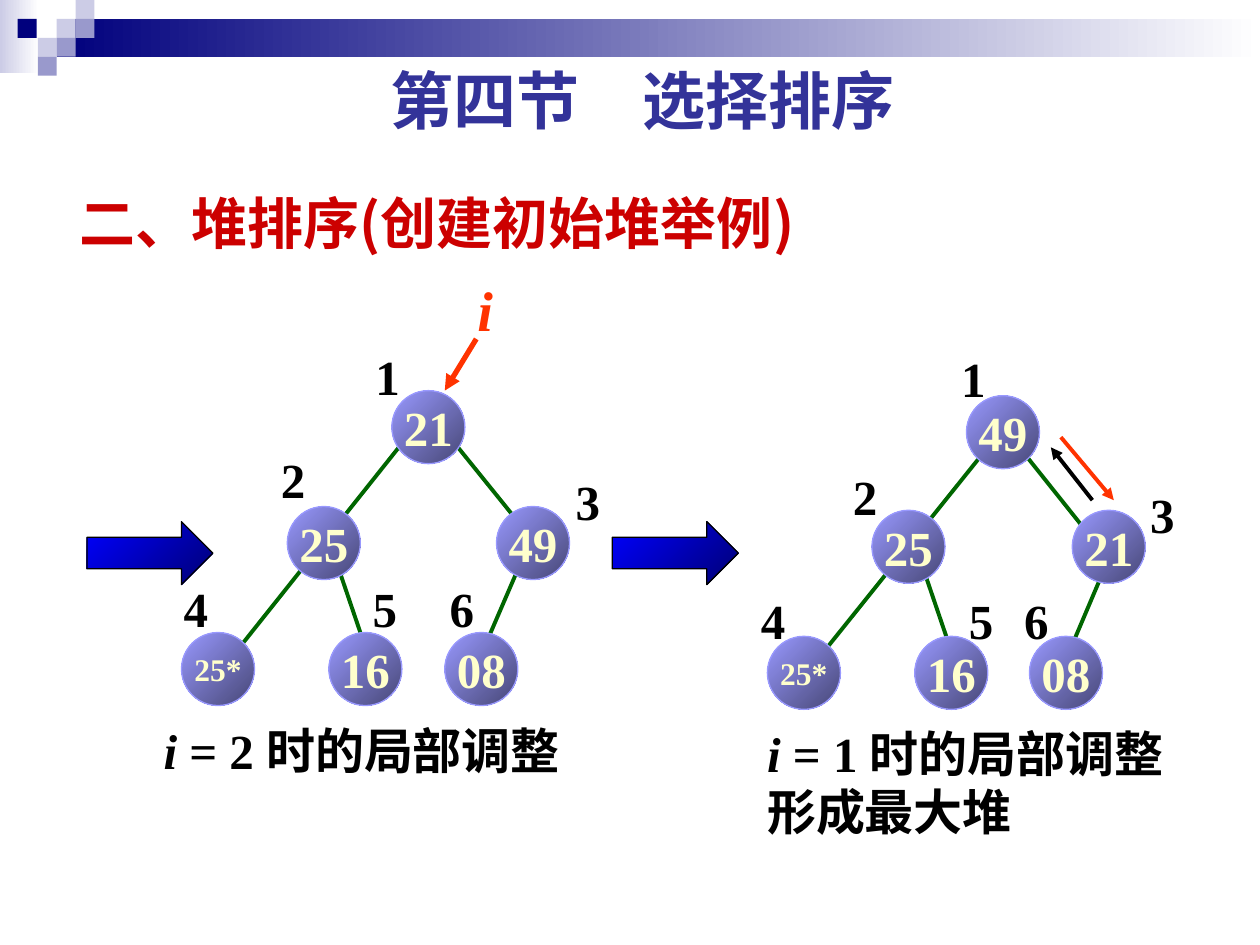
from lxml.etree import SubElement
from pptx import Presentation
from pptx.dml.color import RGBColor
from pptx.enum.shapes import MSO_CONNECTOR, MSO_SHAPE
from pptx.enum.text import MSO_ANCHOR, MSO_AUTO_SIZE, PP_ALIGN
from pptx.oxml.ns import qn
from pptx.util import Inches, Pt


def color(value):
    return RGBColor.from_string(value)


def write(frame, lines, align, ink, **formats):
    for index, line in enumerate(lines):
        para = frame.paragraphs[0] if index == 0 else frame.add_paragraph()
        para.alignment = align
        for text, italic in line:
            span = para.add_run()
            span.text = text
            span.font.color.rgb = color(ink)
            for name, value in {"bold": True, "italic": italic, **formats}.items():
                setattr(span.font, name, value)
            east = SubElement(span.font._element, qn("a:ea"))
            east.set("typeface", "Noto Sans CJK SC")


deck = Presentation()
deck.slide_width, deck.slide_height = Inches(10), Inches(7.5)
page = deck.slides.add_slide(deck.slide_layouts[6])

SERIF = "Times New Roman"
NODE = 0.58
TILE = 0.15
GREEN, ORANGE, BLACK = "006600", "FF3300", "000000"

shapes = [
    (MSO_SHAPE.RECTANGLE, (0, 0, 0.31, 0.58), ("CCCCE6", "FFFFFF"), 0, None, ""),
    (MSO_SHAPE.RECTANGLE, (0.45, 0.15, 9.55, 0.3), ("00007D", "FFFFFF"), 0, None, ""),
]
tiles = [
    (0.45, 0.15, "CCCCE6"), (0.6, 0, "CCCCE6"), (0.6, 0.15, "9999CC"), (0.3, 0.3, "CCCCE6"),
    (0.14, 0.15, "00007D"), (0.45, 0.3, "9999CC"), (0.3, 0.45, "9999CC"),
]
for left, top, tone in tiles:
    shapes.append((MSO_SHAPE.RECTANGLE, (left, top, TILE, TILE), (tone,), 0, None, ""))
for left in (0.69, 4.86):
    shapes.append((MSO_SHAPE.RIGHT_ARROW, (left, 4.14, 1, 0.5), ("0000FF", "000076"), 315, BLACK, ""))

nodes = [
    ("21", 3.11, 3.1), ("25", 2.28, 4.02), ("49", 3.94, 4.02),
    ("25*", 1.44, 5.02), ("16", 2.61, 5.02), ("08", 3.53, 5.02),
    ("49", 7.67, 3.14), ("25", 6.92, 4.05), ("21", 8.51, 4.05),
    ("25*", 6.09, 5.05), ("16", 7.26, 5.05), ("08", 8.17, 5.05),
]
for key, left, top in nodes:
    shapes.append((MSO_SHAPE.OVAL, (left, top, NODE, NODE), ("9999FF", "474776"), 315, "9999FF", key))

lines = [
    (4.11, 4.52, 3.86, 5.1, GREEN, 2.25, False),
    (2.69, 4.52, 2.86, 5.02, GREEN, 2.25, False),
    (3.61, 3.52, 4.28, 4.35, GREEN, 2.25, False),
    (3.19, 3.52, 1.86, 5.19, GREEN, 2.25, False),
    (8.75, 4.55, 8.5, 5.14, GREEN, 2.25, False),
    (8.09, 3.55, 8.76, 4.39, GREEN, 2.25, False),
    (7.34, 4.55, 7.51, 5.05, GREEN, 2.25, False),
    (7.84, 3.55, 6.5, 5.22, GREEN, 2.25, False),
    (3.78, 2.69, 3.53, 3.1, ORANGE, 3, True),
    (8.67, 3.97, 8.34, 3.55, BLACK, 2.25, True),
    (8.42, 3.47, 8.84, 3.97, ORANGE, 2.25, True),
]
for x1, y1, x2, y2, ink, width, arrow in lines:
    line = page.shapes.add_connector(
        MSO_CONNECTOR.STRAIGHT, Inches(x1), Inches(y1), Inches(x2), Inches(y2))
    line.line.color.rgb = color(ink)
    line.line.width = Pt(width)
    if arrow:
        SubElement(line.line._get_or_add_ln(), qn("a:tailEnd")).set("type", "triangle")
    SubElement(line._element.spPr, qn("a:effectLst"))

for kind, place, tones, angle, outline, key in shapes:
    shape = page.shapes.add_shape(kind, *map(Inches, place))
    shape.shadow.inherit = False
    if len(tones) == 1:
        shape.fill.solid()
        shape.fill.fore_color.rgb = color(tones[0])
    else:
        shape.fill.gradient()
        shape.fill.gradient_angle = angle
        for stop, tone, position in zip(shape.fill.gradient_stops, tones, (0, 1)):
            stop.color.rgb = color(tone)
            stop.position = position
    if outline:
        shape.line.color.rgb = color(outline)
        shape.line.width = Pt(0.75)
    else:
        shape.line.fill.background()
    if key:
        frame = shape.text_frame
        frame.word_wrap = False
        frame.vertical_anchor = MSO_ANCHOR.MIDDLE
        write(frame, [[(key, False)]], PP_ALIGN.CENTER, "FFFFCC",
              name=SERIF, size=Pt(18 if key == "25*" else 28))

texts = [
    ((3.69, 2.14, 0.32, 0.64), [[("i", True)]], ORANGE, 32),
    ((1.2, 5.67, 3.44, 0.57), [[("i", True), (" = 2 时的局部调整", False)]], BLACK, 28),
    ((5.99, 5.69, 3.44, 1.04),
     [[("i", True), (" = 1 时的局部调整", False)], [("形成最大堆", False)]], BLACK, 28),
]
numbers = [
    [(2.88, 2.7), (2.13, 3.52), (4.47, 3.69), (1.36, 4.54), (2.86, 4.54), (3.47, 4.54)],
    [(7.53, 2.72), (6.67, 3.65), (9.03, 3.8), (5.94, 4.64), (7.59, 4.64), (8.03, 4.64)],
]
for tree in numbers:
    for number, (left, top) in enumerate(tree, 1):
        texts.append(((left, top, 0.39, 0.57), [[(str(number), False)]], BLACK, 28))
for place, content, ink, size in texts:
    frame = page.shapes.add_textbox(*map(Inches, place)).text_frame
    frame.word_wrap = False
    frame.auto_size = MSO_AUTO_SIZE.SHAPE_TO_FIT_TEXT
    write(frame, content, PP_ALIGN.LEFT, ink, name=SERIF, size=Pt(size))

headings = [
    ((0.53, 1.39, 6.25, 0.75), "二、堆排序(创建初始堆举例)", PP_ALIGN.LEFT, MSO_ANCHOR.MIDDLE,
     "CC0000", "Noto Sans CJK SC", 32),
    ((0.47, 0.44, 9.25, 0.7), "第四节　选择排序", PP_ALIGN.CENTER, MSO_ANCHOR.TOP,
     "333399", "Cabin", 36),
]
for place, text, align, anchor, ink, face, size in headings:
    frame = page.shapes.add_textbox(*map(Inches, place)).text_frame
    frame.word_wrap = True
    frame.vertical_anchor = anchor
    write(frame, [[(text, False)]], align, ink, name=face, size=Pt(size))

deck.save("out.pptx")
